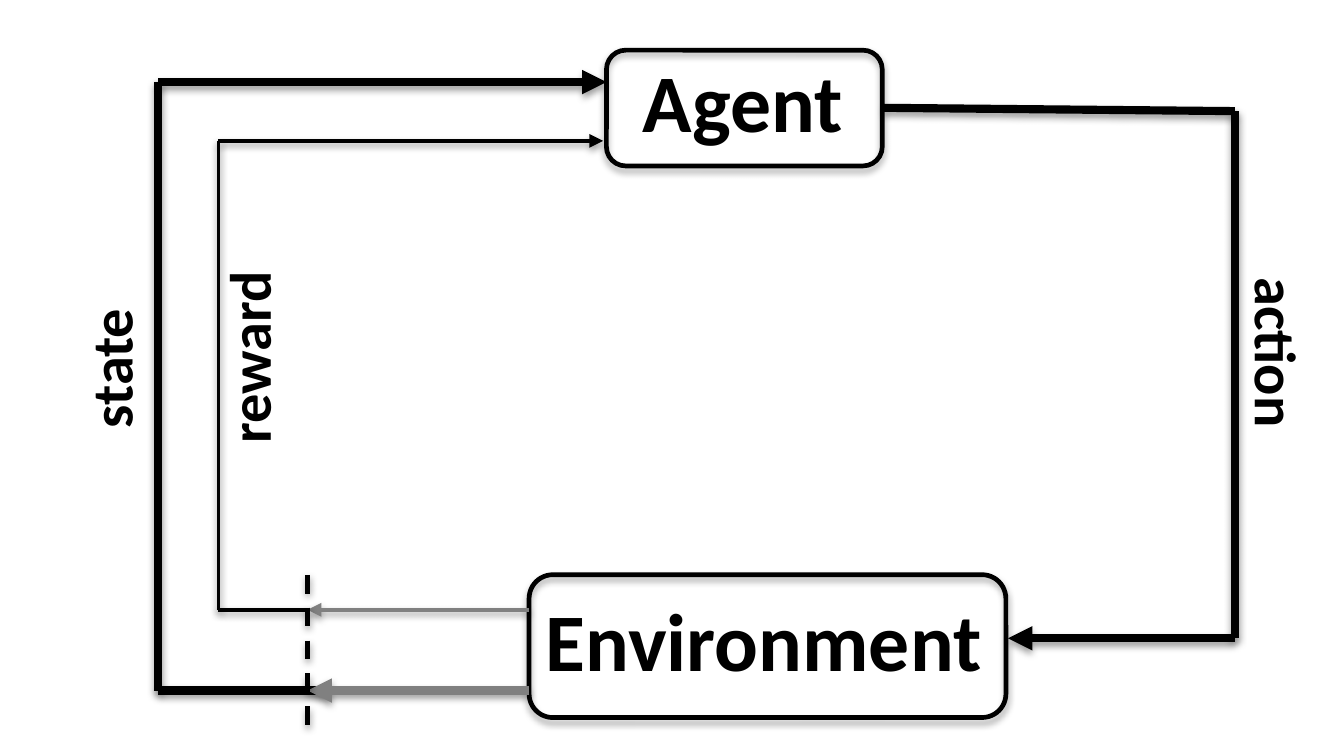
from dataclasses import dataclass

from lxml.etree import SubElement
from pptx import Presentation
from pptx.dml.color import RGBColor
from pptx.enum.dml import MSO_LINE
from pptx.enum.shapes import MSO_CONNECTOR, MSO_SHAPE
from pptx.oxml.ns import qn
from pptx.util import Cm, Pt

BLACK = RGBColor(0x00, 0x00, 0x00)
GRAY = RGBColor(0x80, 0x80, 0x80)
FONT = "Calibri"
THICK, THIN, OUTLINE = 3.5, 1.5, 2

# Shared positions in cm
STATE_X, REWARD_X, BOUNDARY_X, ACTION_X = 2.39, 3.3, 4.65, 18.67
AGENT_LEFT, AGENT_RIGHT = 9.17, 13.36
ENV_LEFT, ENV_RIGHT = 8.0, 15.24
STATE_TOP, STATE_BOTTOM = 1.24, 10.44
REWARD_TOP, REWARD_BOTTOM = 2.13, 9.22
ACTION_TOP, ACTION_BOTTOM = 1.68, 9.65


@dataclass
class Box:
    left: float
    top: float
    width: float
    height: float

    def lengths(self) -> tuple:
        return Cm(self.left), Cm(self.top), Cm(self.width), Cm(self.height)


@dataclass
class Label:
    text: str
    box: Box
    size: int
    rotation: int = 0


@dataclass
class Segment:
    start: tuple[float, float]
    end: tuple[float, float]
    width: float
    arrow: bool = False
    color: RGBColor = BLACK
    dashed: bool = False


FRAMES = [
    Box(AGENT_LEFT, 0.76, 4.17, 1.75),
    Box(ENV_LEFT, 8.69, 7.21, 2.16),
]

LABELS = [
    Label("Agent", Box(9.47, 0.64, 3.78, 1.75), 35),
    Label("Environment", Box(ENV_LEFT, 8.79, 7.67, 1.75), 35),
    Label("action", Box(17.91, 4.7, 2.82, 1.32), 25, 90),
    Label("reward", Box(2.16, 4.7, 3.18, 1.32), 25, 270),
    Label("state", Box(0.48, 4.88, 2.36, 1.32), 25, 270),
]

SEGMENTS = [
    # Action: agent to environment
    Segment((AGENT_RIGHT, 1.63), (ACTION_X, ACTION_TOP), THICK),
    Segment((ACTION_X, ACTION_BOTTOM), (ENV_RIGHT, ACTION_BOTTOM), THICK, arrow=True),
    Segment((ACTION_X, ACTION_BOTTOM), (ACTION_X, ACTION_TOP), THICK),
    # State: time boundary to agent
    Segment((STATE_X, STATE_BOTTOM), (4.98, STATE_BOTTOM), THICK),
    Segment((STATE_X, STATE_BOTTOM), (STATE_X, STATE_TOP), THICK),
    Segment((STATE_X, STATE_TOP), (AGENT_LEFT, STATE_TOP), THICK, arrow=True),
    # Environment output up to the boundary
    Segment((ENV_LEFT, STATE_BOTTOM), (BOUNDARY_X, STATE_BOTTOM), THICK, True, GRAY),
    Segment((ENV_LEFT, REWARD_BOTTOM), (BOUNDARY_X, REWARD_BOTTOM), THIN, True, GRAY),
    # Reward: time boundary to agent
    Segment((REWARD_X, REWARD_BOTTOM), (BOUNDARY_X, REWARD_BOTTOM), THIN),
    Segment((REWARD_X, REWARD_TOP), (9.12, REWARD_TOP), THIN, arrow=True),
    Segment((REWARD_X, REWARD_BOTTOM), (REWARD_X, REWARD_TOP), THIN),
    # Boundary between time steps
    Segment((BOUNDARY_X, 8.69), (BOUNDARY_X, 11.07), OUTLINE, dashed=True),
]


def add_shadow(properties, distance: float, opacity: int) -> None:
    """Cast a soft black shadow straight down."""
    effects = properties.find(qn("a:effectLst"))
    if effects is None:
        effects = SubElement(properties, qn("a:effectLst"))
    shadow = SubElement(effects, qn("a:outerShdw"), blurRad=str(Pt(3.1)),
                        dist=str(Pt(distance)), dir="5400000", rotWithShape="0")
    color = SubElement(shadow, qn("a:srgbClr"), val=str(BLACK))
    SubElement(color, qn("a:alpha"), val=str(opacity * 1000))


def add_frame(slide, box: Box) -> None:
    frame = slide.shapes.add_shape(MSO_SHAPE.ROUNDED_RECTANGLE, *box.lengths())
    frame.fill.background()
    frame.line.color.rgb = BLACK
    frame.line.width = Pt(OUTLINE)
    frame.shadow.inherit = False
    add_shadow(frame._element.spPr, 1.8, 35)


def add_label(slide, label: Label) -> None:
    caption = slide.shapes.add_textbox(*label.box.lengths())
    caption.rotation = label.rotation
    caption.text_frame.word_wrap = True
    paragraph = caption.text_frame.paragraphs[0]
    paragraph.text = label.text
    paragraph.font.name = FONT
    paragraph.font.size = Pt(label.size)
    paragraph.font.bold = True
    paragraph.font.color.rgb = BLACK


def add_segment(slide, segment: Segment) -> None:
    points = [Cm(value) for value in segment.start + segment.end]
    connector = slide.shapes.add_connector(MSO_CONNECTOR.STRAIGHT, *points)
    connector.line.color.rgb = segment.color
    connector.line.width = Pt(segment.width)
    if segment.dashed:
        connector.line.dash_style = MSO_LINE.DASH
    properties = connector._element.spPr
    if segment.arrow:
        SubElement(properties.find(qn("a:ln")), qn("a:tailEnd"), type="triangle")
    add_shadow(properties, 1.6, 38)


def main() -> None:
    presentation = Presentation()
    presentation.slide_width = Cm(20.32)
    presentation.slide_height = Cm(11.43)
    slide = presentation.slides.add_slide(presentation.slide_layouts[6])
    for box in FRAMES:
        add_frame(slide, box)
    for segment in SEGMENTS:
        add_segment(slide, segment)
    for label in LABELS:
        add_label(slide, label)
    presentation.save("out.pptx")


if __name__ == "__main__":
    main()
